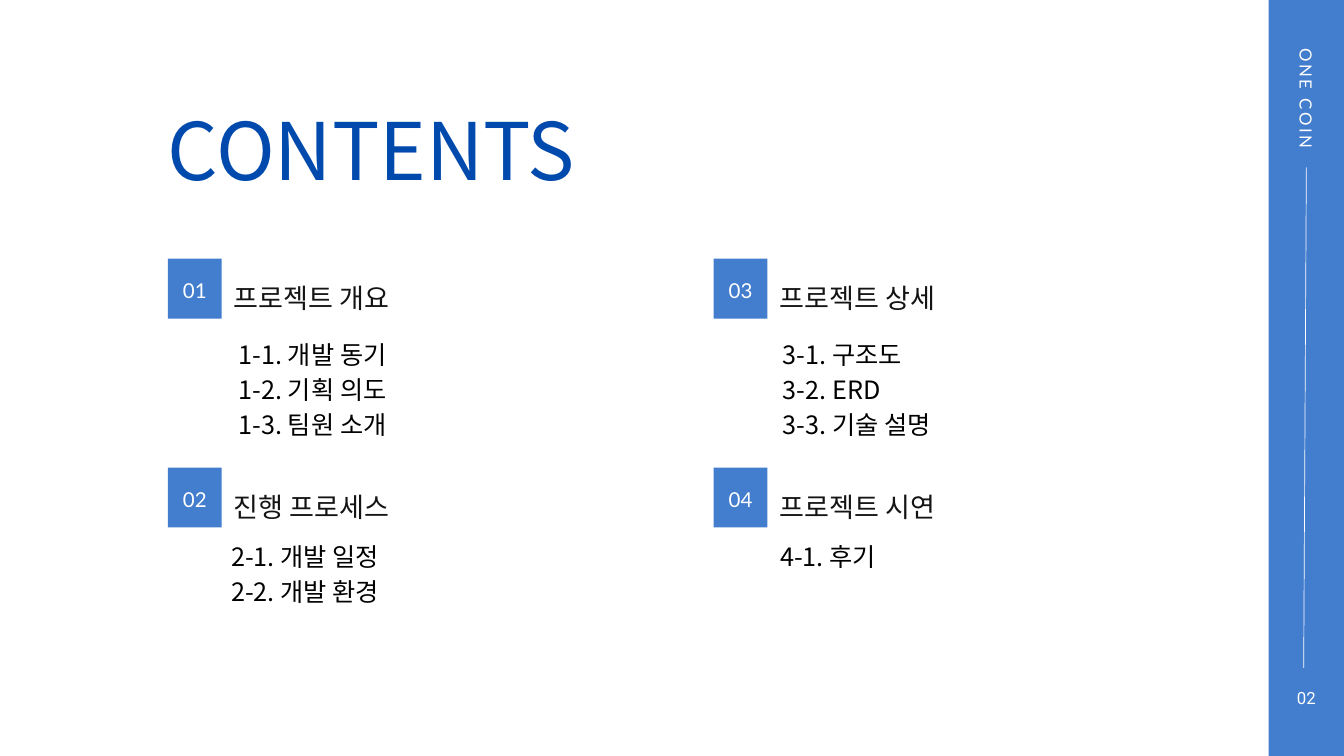
from typing import NamedTuple

from lxml.etree import SubElement as Sub
from pptx import Presentation
from pptx.dml.color import RGBColor as Rgb
from pptx.enum.shapes import MSO_CONNECTOR as Conn, MSO_SHAPE as Kind
from pptx.enum.text import MSO_ANCHOR as Anchor, PP_ALIGN as Align
from pptx.oxml.ns import qn
from pptx.util import Inches, Pt

HUES = {"blue": "427DCE", "navy": "004AAD", "ink": "141414",
        "black": "000000", "white": "FFFFFF"}
SANS = "Noto Sans CJK KR"


class Box(NamedTuple):
    x: float
    y: float
    w: float
    h: float


class Style(NamedTuple):
    font: str
    size: float
    hue: str
    lead: float
    align: Align = Align.LEFT
    track: float = 0


class Part(NamedTuple):
    num: str
    x: float
    y: float
    head: str
    list_box: Box
    items: list[str]
    align: Align = Align.LEFT


TITLE = Style(SANS, 85, "navy", 102)
HEAD = Style("Calibri", 29, "ink", 40.6)
ITEM = Style(SANS, 27, "black", 37.8)
NUM = Style("Lato", 22, "white", 30.8, Align.CENTER)
SIDE = Style("Lato", 18, "white", 25.2, track=2.7)
PAGE = Style("Roboto", 18, "white", 25.2, Align.CENTER)

LEFT, RIGHT = 2.5, 10.62
TOP, LOW = 3.85, 6.96
PARTS = [
    Part("01", LEFT, TOP, "프로젝트 개요", Box(3.49, 4.97, 2.32, 1.54),
         ["1-1. 개발 동기", "1-2. 기획 의도", "1-3. 팀원 소개"], Align.CENTER),
    Part("02", LEFT, LOW, "진행 프로세스", Box(3.44, 7.98, 2.37, 1.02),
         ["2-1. 개발 일정", "2-2. 개발 환경"]),
    Part("03", RIGHT, TOP, "프로젝트 상세", Box(11.65, 4.97, 2.34, 1.54),
         ["3-1. 구조도", "3-2. ERD", "3-3. 기술 설명"]),
    Part("04", RIGHT, LOW, "프로젝트 시연", Box(11.61, 7.98, 1.54, 0.5),
         ["4-1. 후기"]),
]


def add_rect(shapes, box: Box, hue: str) -> None:
    rect = shapes.add_shape(Kind.RECTANGLE, *map(Inches, box))
    rect.shadow.inherit = False
    rect.fill.solid()
    rect.fill.fore_color.rgb = Rgb.from_string(HUES[hue])
    rect.line.fill.background()


def add_text(shapes, box: Box, lines: list[str], style: Style,
             anchor: Anchor = Anchor.TOP, turn: float = 0) -> None:
    shape = shapes.add_textbox(*map(Inches, box))
    shape.rotation = turn
    frame = shape.text_frame
    frame.word_wrap = True
    frame.vertical_anchor = anchor
    frame.margin_left = frame.margin_right = 0
    frame.margin_top = frame.margin_bottom = 0
    for i, line in enumerate(lines):
        para = frame.add_paragraph() if i else frame.paragraphs[0]
        para.alignment = style.align
        para.line_spacing = Pt(style.lead)
        run = para.add_run()
        run.text = line
        font = run.font
        font.name = style.font
        font.size = Pt(style.size)
        font.color.rgb = Rgb.from_string(HUES[style.hue])
        props = run._r.get_or_add_rPr()
        Sub(props, qn("a:ea")).set("typeface", style.font)
        if style.track:
            props.set("spc", str(round(style.track * 100)))


def add_part(shapes, part: Part) -> None:
    # Square with its number in the middle
    group = shapes.add_group_shape().shapes
    square = Box(part.x, part.y, 0.8, 0.89)
    add_rect(group, square, "blue")
    add_text(group, square, [part.num], NUM, anchor=Anchor.MIDDLE)
    # Heading and its list
    add_text(shapes, Box(part.x + 0.98, part.y + 0.26, 4.76, 0.53),
             [part.head], HEAD)
    add_text(shapes, part.list_box, part.items, ITEM._replace(align=part.align))


def main() -> None:
    deck = Presentation()
    deck.slide_width, deck.slide_height = Inches(20), Inches(11.25)
    shapes = deck.slides.add_slide(deck.slide_layouts[6]).shapes

    # Side band with its rule
    add_rect(shapes, Box(18.88, -0.54, 1.12, 12.33), "blue")
    rule = shapes.add_connector(Conn.STRAIGHT, Inches(19.44), Inches(2.49),
                                Inches(19.4), Inches(9.94))
    rule.line.color.rgb = Rgb.from_string(HUES["white"])
    rule.line.width = Pt(0.75)
    Sub(rule._element.spPr, qn("a:effectLst"))
    add_text(shapes, Box(18.28, 1.73, 2.37, 0.35), ["ONE COIN"], SIDE, turn=90)
    add_text(shapes, Box(19.13, 10.19, 0.62, 0.35), ["02"], PAGE)

    # Title and contents
    add_text(shapes, Box(LEFT, 1.5, 7.67, 1.42), ["CONTENTS"], TITLE)
    for part in PARTS:
        add_part(shapes, part)

    deck.save("out.pptx")


if __name__ == "__main__":
    main()
